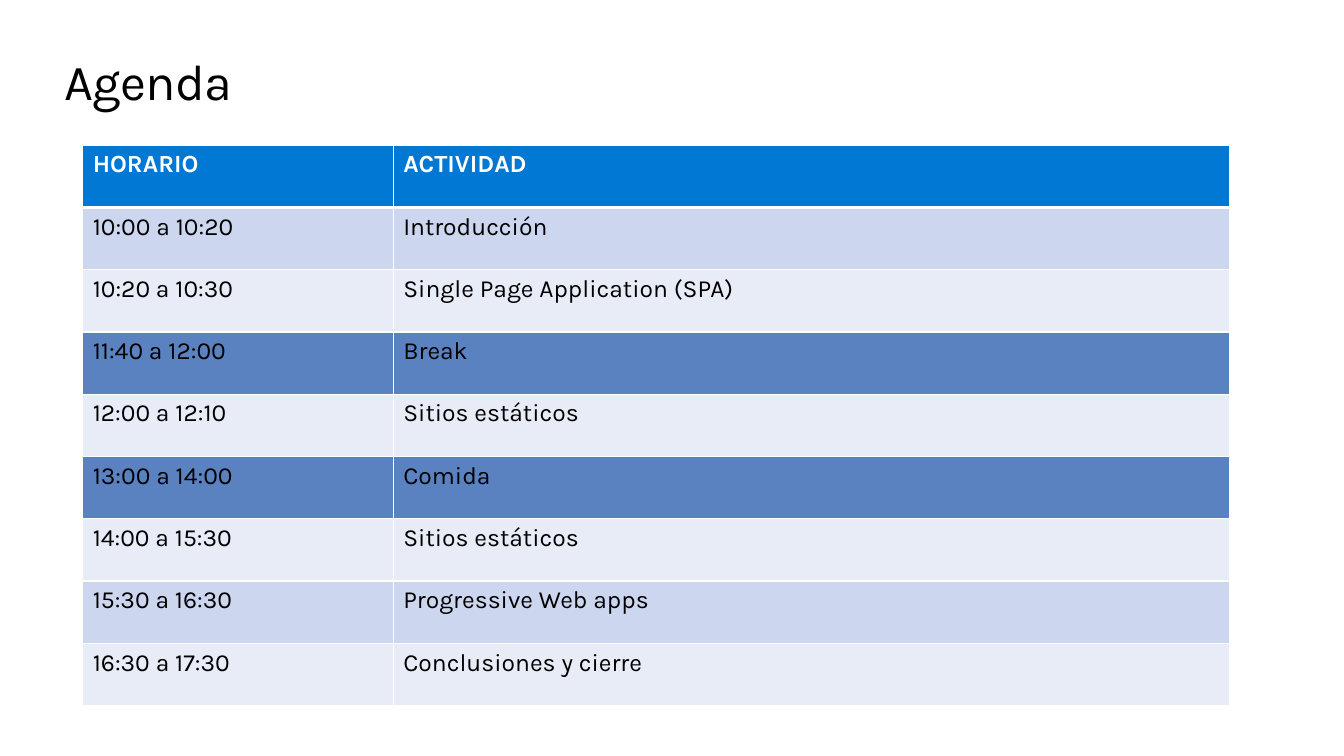
from lxml.etree import SubElement
from pptx import Presentation
from pptx.dml.color import RGBColor
from pptx.enum.text import MSO_AUTO_SIZE as AutoSize
from pptx.oxml.ns import qn
from pptx.util import Inches, Pt

FONT = "Karla"
WHITE, BLACK = "FFFFFF", "000000"
HEADER, DARK_BAND, LIGHT_BAND, PAUSE = "0078D4", "CCD6EF", "E7ECF7", "5A81C0"

AGENDA = [
    ("HORARIO", "ACTIVIDAD", HEADER),
    ("10:00 a 10:20", "Introducción", DARK_BAND),
    ("10:20 a 10:30", "Single Page Application (SPA)", LIGHT_BAND),
    ("11:40 a 12:00", "Break", PAUSE),
    ("12:00 a 12:10", "Sitios estáticos", LIGHT_BAND),
    ("13:00 a 14:00", "Comida", PAUSE),
    ("14:00 a 15:30", "Sitios estáticos", LIGHT_BAND),
    ("15:30 a 16:30", "Progressive Web apps", DARK_BAND),
    ("16:30 a 17:30", "Conclusiones y cierre", LIGHT_BAND),
]


def color(hex_code):
    return RGBColor.from_string(hex_code)


def style(paragraph, size, hex_code, bold=False):
    font = paragraph.font
    font.name, font.size, font.bold = FONT, Pt(size), bold
    font.color.rgb = color(hex_code)


def add_title(slide, left, top, width, height):
    title = slide.shapes.add_textbox(
        Inches(left), Inches(top), Inches(width), Inches(height))
    frame = title.text_frame
    frame.word_wrap = True
    frame.auto_size = AutoSize.SHAPE_TO_FIT_TEXT
    frame.margin_left = frame.margin_right = 0
    frame.margin_top = frame.margin_bottom = 0
    heading = frame.paragraphs[0]
    heading.text = "Agenda"
    style(heading, 36, BLACK)
    # Slightly tightened letter spacing
    heading.runs[0]._r.get_or_add_rPr().set("spc", "-50")


def add_borders(cell, top, bottom):
    properties = cell._tc.get_or_add_tcPr()
    for side, points in (("L", 1), ("R", 1), ("T", top), ("B", bottom)):
        border = SubElement(properties, qn(f"a:ln{side}"), w=str(Pt(points)))
        fill = SubElement(border, qn("a:solidFill"))
        SubElement(fill, qn("a:srgbClr"), val=WHITE)


def add_agenda(slide, left, top, width, height):
    agenda = slide.shapes.add_table(
        len(AGENDA), 2, Inches(left), Inches(top),
        Inches(width), Inches(height)).table
    time_width = 3.08
    agenda.columns[0].width = Inches(time_width)
    agenda.columns[1].width = Inches(width - time_width)

    for row, (time, activity, band) in enumerate(AGENDA):
        is_header = row == 0
        for column, text in enumerate((time, activity)):
            cell = agenda.cell(row, column)
            # A thicker rule separates the header from the sessions
            add_borders(cell, 3 if row == 1 else 1, 3 if is_header else 1)
            cell.fill.solid()
            cell.fill.fore_color.rgb = color(band)
            cell.text = text
            style(cell.text_frame.paragraphs[0], 17.6,
                  WHITE if is_header else BLACK, is_header)


def main():
    deck = Presentation()
    deck.slide_width, deck.slide_height = Inches(13.33), Inches(7.5)
    slide = deck.slides.add_slide(deck.slide_layouts[6])
    add_title(slide, 0.64, 0.5, 12.05, 0.61)
    add_agenda(slide, 0.82, 1.44, 11.38, 5.56)
    deck.save("out.pptx")


if __name__ == "__main__":
    main()
